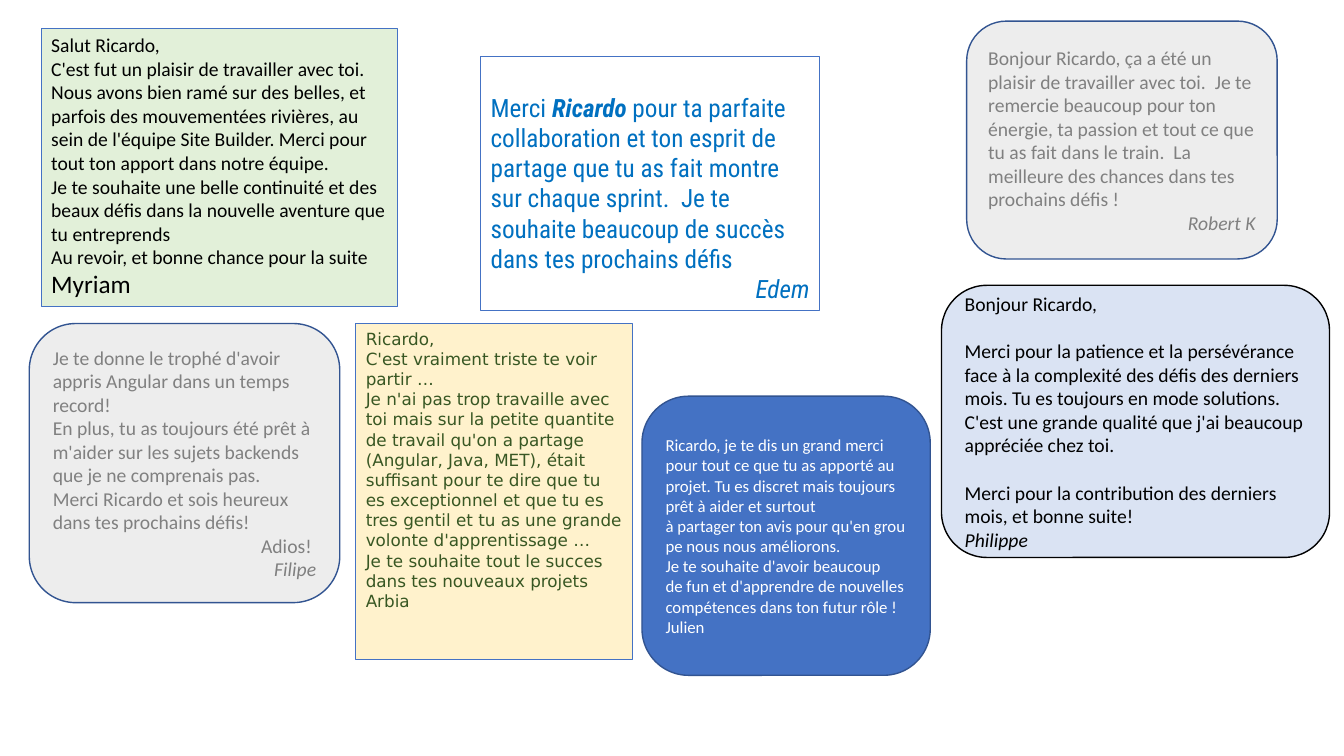
from pptx import Presentation
from pptx.dml.color import RGBColor
from pptx.enum.shapes import MSO_SHAPE
from pptx.enum.text import MSO_ANCHOR, MSO_AUTO_SIZE, PP_ALIGN
from pptx.util import Pt

RECT, ROUND = MSO_SHAPE.RECTANGLE, MSO_SHAPE.ROUNDED_RECTANGLE
LEFT, RIGHT = PP_ALIGN.LEFT, PP_ALIGN.RIGHT
TOP, MIDDLE = MSO_ANCHOR.TOP, MSO_ANCHOR.MIDDLE
GROW = MSO_AUTO_SIZE.SHAPE_TO_FIT_TEXT

COLORS = {
    "green": "E2F0D9", "pale_blue": "DAE3F3", "grey": "EDEDED",
    "blue": "4472C4", "cream": "FFF2CC", "navy": "325491",
    "black": "000000", "grey_text": "808080", "bright_blue": "0070C0",
    "white": "FFFFFF", "dark_green": "385723",
}


# Content: a paragraph is a plain string or a dict of runs and settings;
# a run is (text, settings); "~" stands for a no-break space
def signed(name, **style):
    return {"runs": [(name, {"italic": True})], "align": RIGHT, **style}


CARDS = [
    {"at": (29.5, 20.2, 254.2, 198.7), "shape": RECT, "fill": "green",
     "font": ("Calibri", 14, "black"), "paras": [
         "Salut Ricardo,",
         "C'est fut un plaisir de travailler avec toi. Nous avons bien ramé sur "
         "des belles, et parfois des mouvementées rivières, au sein de l'équipe "
         "Site Builder. Merci pour tout ton apport dans notre équipe.",
         "Je te souhaite une belle continuité et des beaux défis dans la "
         "nouvelle aventure que tu entreprends",
         "Au revoir, et bonne chance pour la suite",
         {"runs": [("Myriam", {"size": Pt(18)})]}]},
    {"at": (672.5, 203.8, 277.2, 194.4), "shape": ROUND, "fill": "pale_blue",
     "line": "black", "font": ("Calibri", 14, "black"), "paras": [
         "Bonjour Ricardo,",
         {"runs": [("Merci pour la patience et la persévérance face à la "
                    "complexité des défis des derniers mois. Tu es toujours en "
                    "mode solutions. C'est une grande qualité que j'ai beaucoup "
                    "appréciée chez toi.", {})], "before": 17},
         {"runs": [("Merci pour la contribution des derniers mois, et bonne "
                    "suite!", {})], "before": 17},
         signed("Philippe", align=LEFT)]},
    {"at": (20.9, 231.1, 221.8, 199.4), "shape": ROUND, "fill": "grey",
     "font": ("Calibri", 14, "grey_text"), "paras": [
         "Je te donne le trophé d'avoir appris Angular dans un temps record!",
         "En plus, tu as toujours été prêt à m'aider sur les sujets backends "
         "que je ne comprenais pas.",
         "Merci Ricardo et sois heureux dans tes prochains défis!",
         {"runs": [("Adios! ", {})], "align": RIGHT},
         signed("Filipe")]},
    {"at": (690.5, 15.1, 221.8, 169.9), "shape": ROUND, "fill": "grey",
     "font": ("Calibri", 14, "grey_text"), "paras": [
         "Bonjour Ricardo, ça a été un plaisir de travailler avec toi.~ Je te "
         "remercie beaucoup pour ton énergie, ta passion et tout ce que tu as "
         "fait dans le train.~ La meilleure des chances dans tes prochains "
         "défis !",
         signed("Robert K")]},
    {"at": (343.4, 40.1, 241.9, 181.4), "shape": RECT, "fill": None,
     "font": ("Roboto Condensed", 18, "bright_blue"), "inset_top": 25.6,
     "paras": [
         {"runs": [("Merci ", {}), ("Ricardo", {"bold": True, "italic": True}),
                   (" pour ta parfaite collaboration et ton esprit de partage "
                    "que tu as fait montre sur chaque sprint.  Je te souhaite "
                    "beaucoup de succès dans tes prochains défis", {})]},
         signed("Edem")]},
    {"at": (458.6, 283, 205.9, 199.4), "shape": ROUND, "fill": "blue",
     "font": ("Calibri", 12, "white"), "paras": [
         "Ricardo, je~te~dis un grand~merci pour~tout~ce~que~tu~as~apporté~au~"
         "projet.~Tu~es~discret~mais~toujours~prêt~à~aider et surtout "
         "à~partager~ton~avis~pour~qu'en~groupe~nous~nous~améliorons.",
         "Je~te~souhaite~d'avoir~beaucoup de~fun~et~d'apprendre~de~"
         "nouvellescompétences~dans~ton~futur~rôle~! Julien"]},
    {"at": (254.2, 231.1, 197.3, 239.8), "shape": RECT, "fill": "cream",
     "font": ("DejaVu Sans", 12, "dark_green"), "paras": [
         "Ricardo,",
         "C'est vraiment triste te voir partir …~",
         "Je n'ai pas trop travaille avec toi mais sur la petite quantite de "
         "travail qu'on a partage (Angular, Java, MET), était suffisant pour te "
         "dire que tu es exceptionnel et que tu es tres gentil et tu as une "
         "grande volonte d'apprentissage …",
         "Je te souhaite tout le succes dans tes nouveaux projets~",
         "Arbia"]},
]


def rgb(name):
    return RGBColor.from_string(COLORS[name])


def add_paragraph(p, para, font):
    if isinstance(para, str):
        para = {"runs": [(para, {})]}
    p.alignment = para.get("align", LEFT)
    p.space_before = Pt(para.get("before", 0))
    face, size, color = font
    for text, style in para["runs"]:
        r = p.add_run()
        r.text = text.replace("~", "\u00a0")
        r.font.name, r.font.size = face, Pt(size)
        r.font.color.rgb = rgb(color)
        for key, value in style.items():
            setattr(r.font, key, value)


def add_card(s, card):
    rounded = card["shape"] == ROUND
    sp = s.shapes.add_shape(card["shape"], *map(Pt, card["at"]))
    sp.shadow.inherit = False
    if card["fill"]:
        sp.fill.solid()
        sp.fill.fore_color.rgb = rgb(card["fill"])
    else:
        sp.fill.background()
    sp.line.color.rgb = rgb(card.get("line", "navy" if rounded else "blue"))
    sp.line.width = Pt(1 if rounded else 0.75)

    tf = sp.text_frame
    tf.word_wrap = True
    tf.vertical_anchor = MIDDLE if rounded else TOP
    if not rounded:
        tf.auto_size = GROW
    tf.margin_top = Pt(card.get("inset_top", 3.6))
    for i, para in enumerate(card["paras"]):
        p = tf.add_paragraph() if i else tf.paragraphs[0]
        add_paragraph(p, para, card["font"])


# Slide
prs = Presentation()
prs.slide_width, prs.slide_height = Pt(960), Pt(540)
s = prs.slides.add_slide(prs.slide_layouts[6])
for card in CARDS:
    add_card(s, card)
prs.save("out.pptx")
